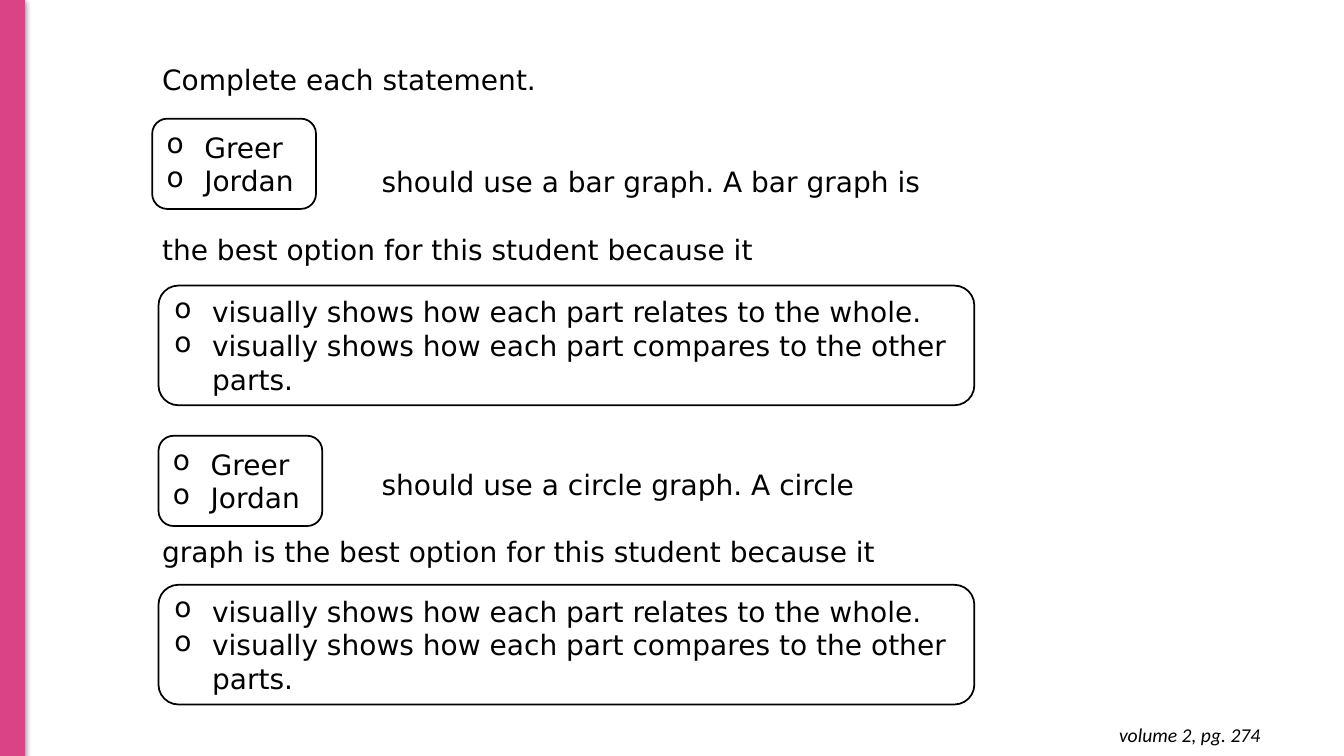
from lxml.etree import SubElement
from pptx import Presentation
from pptx.dml.color import RGBColor
from pptx.enum.shapes import MSO_SHAPE
from pptx.enum.text import MSO_ANCHOR, PP_ALIGN
from pptx.oxml.ns import qn
from pptx.util import Pt

PX = 9525
COLORS = {"bar": "DA4487", "ink": "000000"}
BODY = {"name": "DejaVu Sans", "size": Pt(20)}
NOTE = {"name": "Calibri", "size": Pt(14), "italic": True}


def add_paragraph(tf, index, text, style):
    p = tf.paragraphs[0] if index == 0 else tf.add_paragraph()
    r = p.add_run()
    r.text = text
    for key, value in style.items():
        setattr(r.font, key, value)
    r.font.color.rgb = RGBColor.from_string(COLORS["ink"])
    return p


def add_box(shape, x, y, w, h):
    sp = slide.shapes.add_shape(shape, x * PX, y * PX, w * PX, h * PX)
    sp.shadow.inherit = False
    return sp


prs = Presentation()
prs.slide_width, prs.slide_height = 1280 * PX, 720 * PX
slide = prs.slides.add_slide(prs.slide_layouts[6])

# Side bar with a soft shadow
bar = add_box(MSO_SHAPE.RECTANGLE, 0, 0, 23, 721)
bar.fill.solid()
bar.fill.fore_color.rgb = RGBColor.from_string(COLORS["bar"])
bar.line.color.rgb = RGBColor.from_string(COLORS["bar"])
bar.line.width = Pt(0.75)
effects = bar._element.spPr.find(qn("a:effectLst"))
shadow = SubElement(effects, qn("a:outerShdw"), blurRad=str(Pt(4.5)),
                    dist=str(Pt(1.5)), dir="5400000", rotWithShape="0")
color = SubElement(shadow, qn("a:srgbClr"), val=COLORS["ink"])
SubElement(color, qn("a:alpha"), val="50000")

# Statements: text, left indent in px, space before in points
STATEMENTS = [
    ("Complete each statement.", 49, 0),
    ("should use a bar graph. A bar graph is", 258, 49),
    ("the best option for this student because it", 49, 24),
    ("should use a circle graph. A circle", 258, 144),
    ("graph is the best option for this student because it", 49, 24),
]
tf = slide.shapes.add_textbox(96 * PX, 55 * PX, 1104 * PX, 494 * PX).text_frame
tf.word_wrap = True
for i, (text, indent, gap) in enumerate(STATEMENTS):
    p = add_paragraph(tf, i, text, BODY)
    p.space_before = Pt(gap)
    p._p.get_or_add_pPr().set("marL", str(indent * PX))

# Choice boxes
STUDENTS = ["Greer", "Jordan"]
REASONS = ["visually shows how each part relates to the whole.",
           "visually shows how each part compares to the other parts."]
CHOICES = [
    (145, 113, 156, 86, STUDENTS),
    (151, 272, 777, 114, REASONS),
    (151, 415, 156, 86, STUDENTS),
    (151, 557, 777, 114, REASONS),
]
for x, y, w, h, options in CHOICES:
    sp = add_box(MSO_SHAPE.ROUNDED_RECTANGLE, x, y, w, h)
    sp.fill.background()
    sp.line.color.rgb = RGBColor.from_string(COLORS["ink"])
    sp.line.width = Pt(1.25)
    tf = sp.text_frame
    tf.word_wrap = True
    tf.vertical_anchor = MSO_ANCHOR.MIDDLE
    for i, option in enumerate(options):
        p = add_paragraph(tf, i, option, BODY)
        p.alignment = PP_ALIGN.LEFT
        pPr = p._p.get_or_add_pPr()
        pPr.set("marL", str(36 * PX))
        pPr.set("indent", str(-36 * PX))
        bullet_color = SubElement(pPr, qn("a:buClr"))
        SubElement(bullet_color, qn("a:srgbClr"), val=COLORS["ink"])
        SubElement(pPr, qn("a:buChar"), char="o")

# Page reference
tf = slide.shapes.add_textbox(934 * PX, 678 * PX, 276 * PX, 42 * PX).text_frame
tf.word_wrap = True
tf.margin_top = tf.margin_bottom = 10 * PX
add_paragraph(tf, 0, "volume 2, pg. 274", NOTE).alignment = PP_ALIGN.RIGHT

prs.save("out.pptx")
